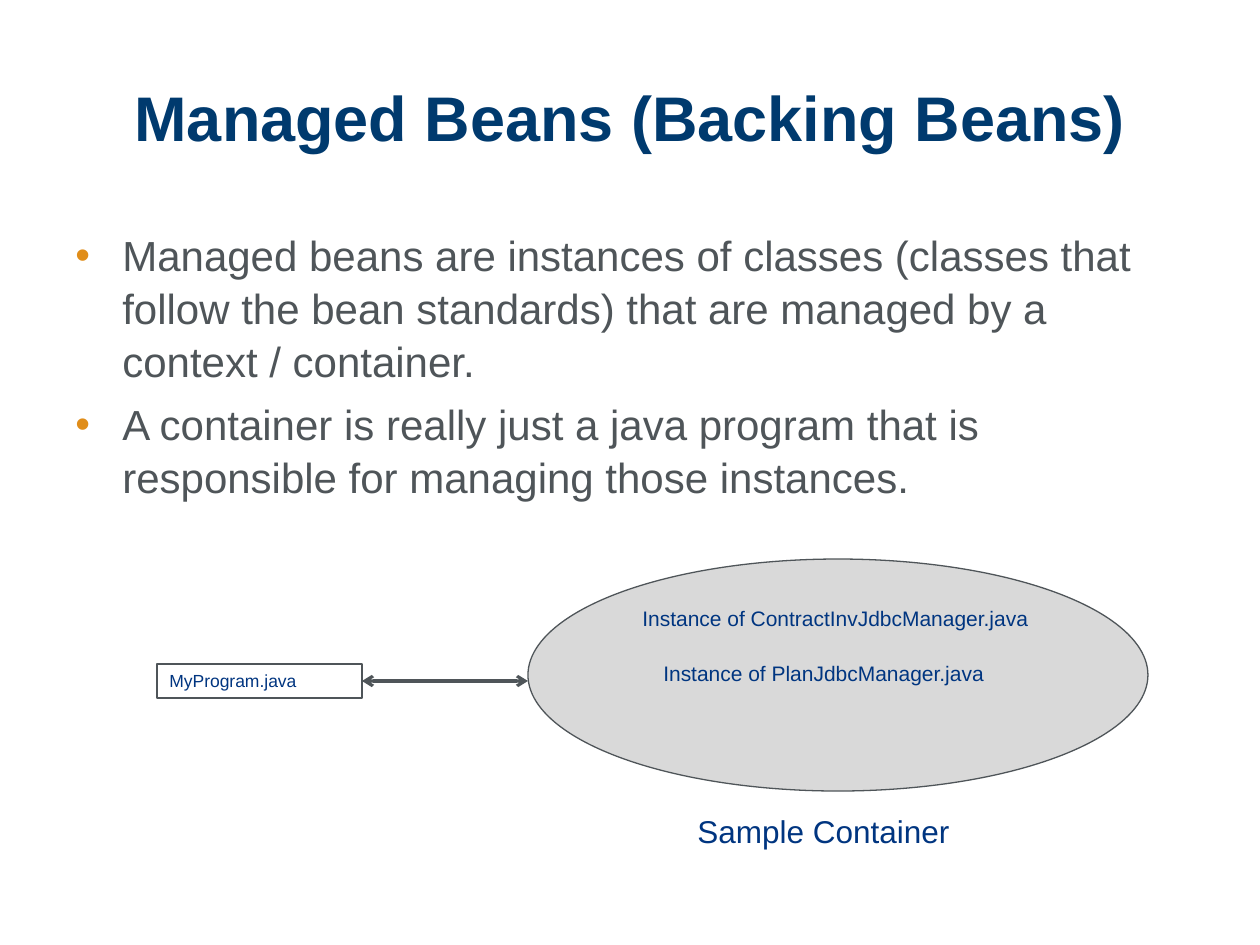
from lxml.etree import SubElement
from pptx import Presentation
from pptx.dml.color import RGBColor
from pptx.enum.shapes import MSO_CONNECTOR, MSO_SHAPE
from pptx.enum.text import MSO_ANCHOR, PP_ALIGN
from pptx.oxml.ns import qn
from pptx.util import Emu, Pt

HUES = {"title": "003A6E", "body": "4F5559", "dot": "E08D19",
        "label": "003580", "oval": "D9D9D9"}


def px(num):
    return Emu(round(num * 914400 / 126))


def hue(name):
    return RGBColor.from_string(HUES[name])


class Deck:
    """Hold the style and the current slide, and draw each kind of element."""

    font = "Arial"

    def __init__(self, wide, high):
        self.show = Presentation()
        self.show.slide_width, self.show.slide_height = px(wide), px(high)
        self.slide = self.show.slides.add_slide(self.show.slide_layouts[5])

    def put(self, para, text, size, color, bold=False):
        run = para.add_run()
        run.text = text
        run.font.name, run.font.size, run.font.bold = self.font, Pt(size), bold
        run.font.color.rgb = hue(color)

    def title(self, box, text):
        head = self.slide.shapes.title
        head.left, head.top, head.width, head.height = map(px, box)
        frame = head.text_frame
        frame.vertical_anchor = MSO_ANCHOR.MIDDLE
        para = frame.paragraphs[0]
        para.alignment = PP_ALIGN.CENTER
        self.put(para, text, 36, "title", True)

    def frame(self, box):
        frame = self.slide.shapes.add_textbox(*map(px, box)).text_frame
        frame.word_wrap = True
        return frame

    def bullets(self, box, items):
        frame = self.frame(box)
        for i, text in enumerate(items):
            para = frame.add_paragraph() if i else frame.paragraphs[0]
            para.space_before, para.line_spacing = Pt(6), 1.05
            props = para._p.get_or_add_pPr()
            props.set("marL", str(px(47)))
            props.set("indent", str(px(-47)))
            tint = SubElement(props, qn("a:buClr"))
            SubElement(tint, qn("a:srgbClr")).set("val", HUES["dot"])
            SubElement(props, qn("a:buFont")).set("typeface", self.font)
            SubElement(props, qn("a:buChar")).set("char", "•")
            self.put(para, text, 24, "body")

    def label(self, box, text, size):
        self.put(self.frame(box).paragraphs[0], text, size, "label")

    def shape(self, kind, box, fill=None, text=None):
        shape = self.slide.shapes.add_shape(kind, *map(px, box))
        shape.shadow.inherit = False
        if fill:
            shape.fill.solid()
            shape.fill.fore_color.rgb = hue(fill)
        else:
            shape.fill.background()
        shape.line.color.rgb, shape.line.width = hue("body"), Pt(0.75)
        if text:
            para = shape.text_frame.paragraphs[0]
            para.alignment = PP_ALIGN.LEFT
            self.put(para, text, 10, "label")

    def arrow(self, start, end):
        link = self.slide.shapes.add_connector(
            MSO_CONNECTOR.STRAIGHT, *map(px, start + end))
        link.line.color.rgb, link.line.width = hue("body"), Pt(1.75)
        props = link._element.spPr
        line = props.find(qn("a:ln"))
        for tip in ("a:headEnd", "a:tailEnd"):
            SubElement(line, qn(tip)).set("type", "arrow")
        SubElement(props, qn("a:effectLst"))


def main():
    deck = Deck(1260, 945)
    deck.title((63, 38, 1134, 157), "Managed Beans (Backing Beans)")
    deck.bullets((63, 221, 1134, 623), [
        "Managed beans are instances of classes (classes that follow the "
        "bean standards) that are managed by a context / container.",
        "A container is really just a java program that is responsible "
        "for managing those instances."])
    deck.shape(MSO_SHAPE.OVAL, (528, 559, 620, 232), "oval")
    deck.label((685, 806, 296, 50), "Sample Container", 18)
    deck.label((630, 599, 420, 38), "Instance of ContractInvJdbcManager.java", 12)
    deck.label((651, 654, 388, 38), "Instance of PlanJdbcManager.java", 12)
    deck.shape(MSO_SHAPE.RECTANGLE, (157, 664, 205, 34), text="MyProgram.java")
    deck.arrow((362, 681), (528, 681))
    deck.show.save("out.pptx")


if __name__ == "__main__":
    main()
